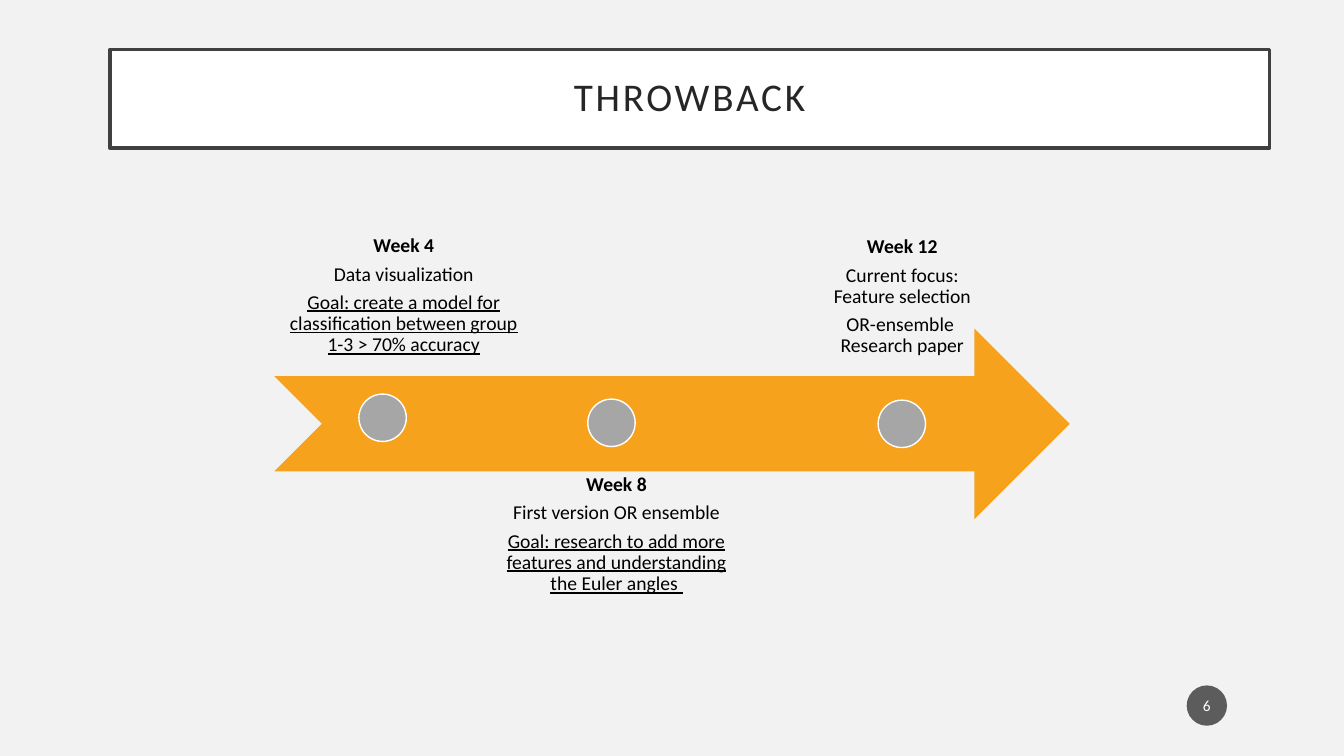
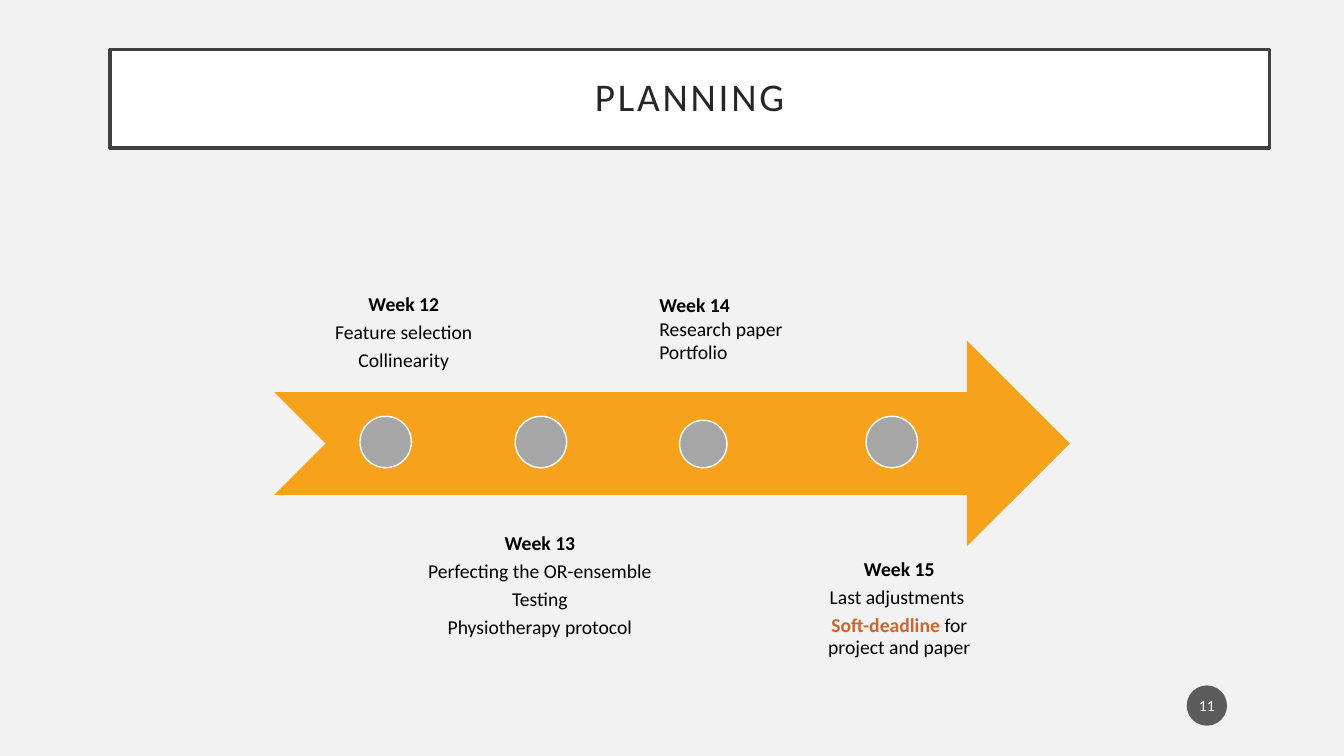
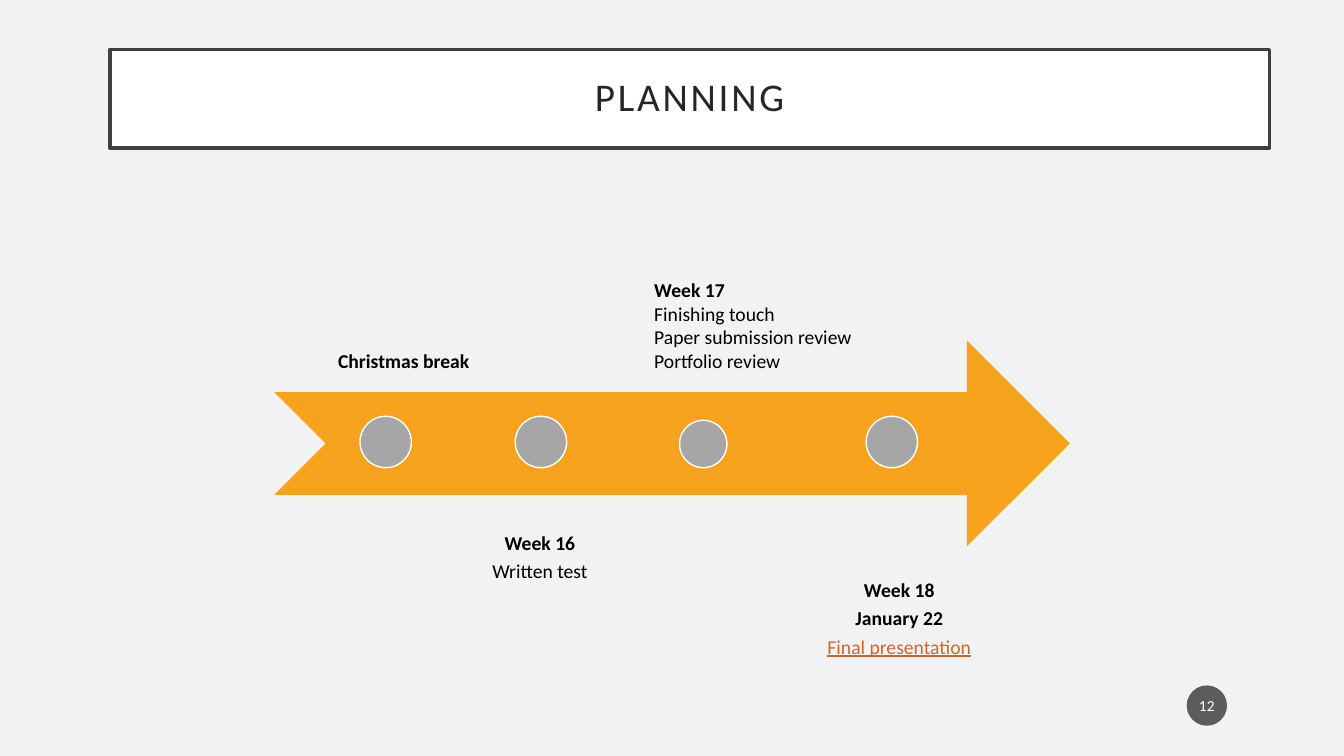
import pptx
import pptx.dml.color
import pptx.enum.shapes
import pptx.enum.text
import pptx.oxml
import pptx.oxml.ns
import pptx.util
import lxml.etree

Inches = pptx.util.Inches
Pt = pptx.util.Pt
RGB = pptx.dml.color.RGBColor.from_string
SHAPE = pptx.enum.shapes.MSO_SHAPE
ALIGN = pptx.enum.text.PP_ALIGN
ANCHOR = pptx.enum.text.MSO_ANCHOR
AUTO = pptx.enum.text.MSO_AUTO_SIZE


class Theme:
    font = "Calibri"
    page, panel, frame = "F2F2F2", "FFFFFF", "404040"
    title, text, accent = "262626", "000000", "C96731"
    arrow, dot, badge, light = "F6A21D", "A6A6A6", "1D1D1D", "FFFFFF"
    title_size, text_size, badge_size = 28, 14, 11


RUN_STYLES = {
    "plain": ({}, Theme.text),
    "bold": ({"bold": True}, Theme.text),
    "goal": ({"underline": True}, Theme.text),
    "alert": ({"bold": True}, Theme.accent),
    "final": ({"underline": True}, Theme.accent),
}

LABEL_STYLES = {
    "above": (ANCHOR.BOTTOM, 0.11, 0.11, {"alignment": ALIGN.CENTER, "line_spacing": 0.9, "space_after": Pt(5)}),
    "below": (ANCHOR.TOP, 0.11, 0.11, {"alignment": ALIGN.CENTER, "line_spacing": 0.9, "space_after": Pt(5)}),
    "note": (ANCHOR.TOP, 0.1, 0.05, {"alignment": ALIGN.LEFT}),
}

PLANNING_ARROW = (3.38, 2.04)
PLANNING_DOTS = [(3.57, 4.13, 0.51), (5.11, 4.13, 0.51), (8.59, 4.13, 0.51), (6.74, 4.17, 0.47)]
PLANNING_FIRST = ("above", (2.72, 2.85, 2.57, 0.95))
PLANNING_SECOND = ("below", (4.05, 5.18, 2.61, 1.42))
PLANNING_LAST = ("above", (8.05, 5.72, 1.74, 0.92))

SLIDES = [
    ("THROWBACK", "6", (3.26, 1.89),
     [(3.56, 3.91, 0.47), (5.83, 3.96, 0.47), (8.71, 3.97, 0.47)],
     [
         ("above", (2.72, 2.77, 2.57, 0.87), [
             [("bold", "Week 4")],
             [("plain", "Data visualization")],
             [("goal", "Goal: create a model for classification between group 1-3 > 70% accuracy")]]),
         ("below", (4.81, 4.6, 2.61, 1.89), [
             [("bold", "Week 8")],
             [("plain", "First version OR ensemble")],
             [("goal", "Goal: research to add more features and understanding the Euler angles ")]]),
         ("above", (8.08, 1.76, 1.74, 1.89), [
             [("bold", "Week 12")],
             [("plain", "Current focus: Feature selection")],
             [("plain", "OR-ensemble "), ("break", ""), ("plain", "Research paper")]]),
     ]),
    ("PLANNING", "11", PLANNING_ARROW, PLANNING_DOTS,
     [
         (*PLANNING_FIRST, [
             [("bold", "Week 12")],
             [("plain", "Feature selection")],
             [("plain", "Collinearity")]]),
         (*PLANNING_SECOND, [
             [("bold", "Week 13")],
             [("plain", "Perfecting the OR-ensemble")],
             [("plain", "Testing")],
             [("plain", "Physiotherapy protocol")]]),
         (*PLANNING_LAST, [
             [("bold", "Week 15")],
             [("plain", "Last adjustments ")],
             [("alert", "Soft-deadline"), ("plain", " for project and paper")]]),
         ("note", (6.44, 2.86, 1.61, 0.81), [
             [("bold", "Week 14")],
             [("plain", "Research paper")],
             [("plain", "Portfolio")]]),
     ]),
    ("PLANNING", "12", PLANNING_ARROW, PLANNING_DOTS,
     [
         (*PLANNING_FIRST, [[("bold", "Christmas break")]]),
         (*PLANNING_SECOND, [
             [("bold", "Week 16")],
             [("plain", "Written test")]]),
         (*PLANNING_LAST, [
             [("bold", "Week 18")],
             [("bold", "January 22")],
             [("final", "Final presentation")]]),
         ("note", (6.39, 2.71, 2.28, 1.04), [
             [("bold", "Week 17")],
             [("plain", "Finishing touch")],
             [("plain", "Paper submission review")],
             [("plain", "Portfolio review")]]),
     ]),
]


def add_filled(s, kind, box, fill, line=None):
    sp = s.shapes.add_shape(kind, *map(Inches, box))
    sp.shadow.inherit = False
    sp.fill.solid()
    sp.fill.fore_color.rgb = RGB(fill)
    if line:
        sp.line.color.rgb = RGB(line)
        sp.line.width = Pt(1)
    else:
        sp.line.fill.background()
    return sp


def write_run(p, text, size, color, **formats):
    r = p.add_run()
    r.text = text
    formats = {"name": Theme.font, "size": Pt(size), "bold": False, **formats}
    for key, value in formats.items():
        setattr(r.font, key, value)
    r.font.color.rgb = RGB(color)
    return r


prs = pptx.Presentation()
prs.slide_width, prs.slide_height = Inches(13.33), Inches(7.5)
background = prs.slide_master.background.fill
background.solid()
background.fore_color.rgb = RGB(Theme.page)

for title, number, (arrow_top, arrow_height), dots, labels in SLIDES:
    s = prs.slides.add_slide(prs.slide_layouts[5])

    sp = s.shapes.title
    sp.left, sp.top, sp.width, sp.height = map(Inches, (1.09, 0.49, 11.5, 0.98))
    sp.fill.solid()
    sp.fill.fore_color.rgb = RGB(Theme.panel)
    sp.line.color.rgb = RGB(Theme.frame)
    sp.line.width = Pt(2.5)
    tf = sp.text_frame
    tf.auto_size = AUTO.NONE
    tf.vertical_anchor = ANCHOR.MIDDLE
    for side in ("left", "top", "right", "bottom"):
        setattr(tf, f"margin_{side}", Inches(0.2))
    p = tf.paragraphs[0]
    p.alignment = ALIGN.CENTER
    p.line_spacing = 0.9
    r = write_run(p, title, Theme.title_size, Theme.title)
    r.font._element.set("spc", "200")

    add_filled(s, SHAPE.NOTCHED_RIGHT_ARROW, (2.72, arrow_top, 7.89, arrow_height), Theme.arrow)
    for left, top, size in dots:
        add_filled(s, SHAPE.OVAL, (left, top, size, size), Theme.dot, Theme.light)

    for style, box, paragraphs in labels:
        anchor, margin_x, margin_y, formats = LABEL_STYLES[style]
        tf = s.shapes.add_textbox(*map(Inches, box)).text_frame
        tf.word_wrap = True
        tf.vertical_anchor = anchor
        tf.margin_left = tf.margin_right = Inches(margin_x)
        tf.margin_top = tf.margin_bottom = Inches(margin_y)
        for i, pieces in enumerate(paragraphs):
            p = tf.add_paragraph() if i else tf.paragraphs[0]
            for key, value in formats.items():
                setattr(p, key, value)
            for run_style, text in pieces:
                if run_style == "break":
                    p.add_line_break()
                    continue
                run_formats, color = RUN_STYLES[run_style]
                write_run(p, text, Theme.text_size, color, **run_formats)

    badge = add_filled(s, SHAPE.OVAL, (11.77, 6.8, 0.4, 0.4), Theme.badge)
    clr = badge.fill._xPr.find(".//" + pptx.oxml.ns.qn("a:srgbClr"))
    lxml.etree.SubElement(clr, pptx.oxml.ns.qn("a:alpha"), val="70000")
    tf = badge.text_frame
    tf.margin_left = tf.margin_right = Inches(0.02)
    tf.vertical_anchor = ANCHOR.MIDDLE
    p = tf.paragraphs[0]
    p.alignment = ALIGN.CENTER
    write_run(p, number, Theme.badge_size, Theme.light)

prs.save("out.pptx")
